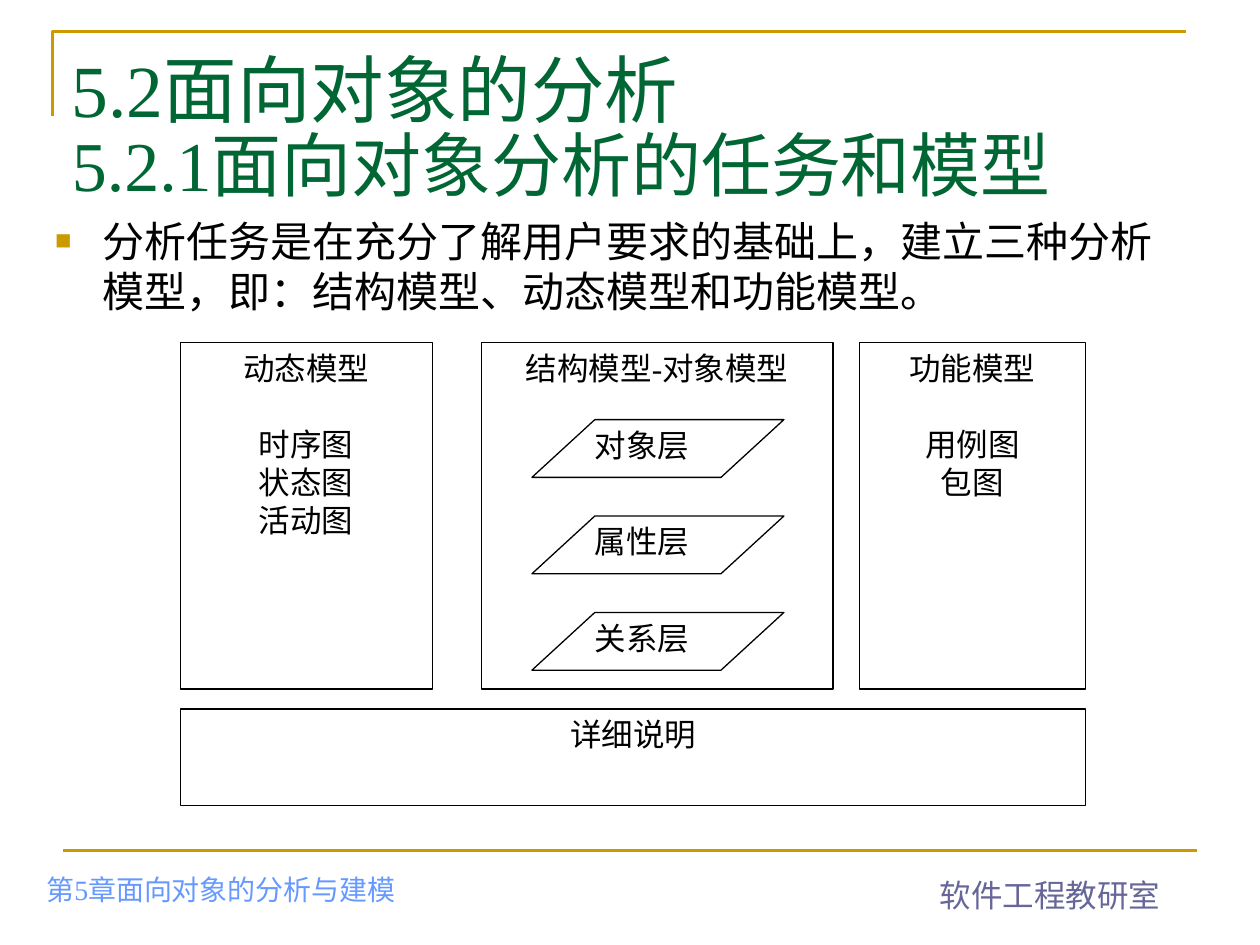
from lxml.etree import SubElement
from pptx import Presentation
from pptx.dml.color import RGBColor
from pptx.enum.shapes import MSO_CONNECTOR, MSO_SHAPE
from pptx.enum.text import MSO_ANCHOR, PP_ALIGN
from pptx.oxml.ns import qn
from pptx.util import Pt

HUES = {"gold": "CC9900", "green": "006633", "blue": "6699FF",
        "slate": "666699", "black": "000000", "white": "FFFFFF"}
ROMAN, SANS = "Times New Roman", "Arial"


def hue(name):
    return RGBColor.from_string(HUES[name])


def write(shape, lines, size=18, color="black", font=ROMAN, align=PP_ALIGN.LEFT,
          anchor=MSO_ANCHOR.TOP, wrap=True, gap=0, bullet=None):
    """Fill a shape with lines; gap is the space after the first one."""
    frame = shape.text_frame
    frame.word_wrap = wrap
    frame.vertical_anchor = anchor
    for i, line in enumerate(lines):
        par = frame.paragraphs[0] if i == 0 else frame.add_paragraph()
        par.alignment = align
        if i == 1:
            par.space_before = Pt(gap)
        if bullet:
            props = par._p.get_or_add_pPr()
            props.set("marL", str(Pt(27)))
            props.set("indent", str(Pt(-27)))
            tint = SubElement(props, qn("a:buClr"))
            SubElement(tint, qn("a:srgbClr"), val=HUES["gold"])
            SubElement(props, qn("a:buSzPct"), val="65000")
            SubElement(props, qn("a:buFont"), typeface=SANS)
            SubElement(props, qn("a:buChar"), char=bullet)
        # A line is a string or a list of (text, font) pairs
        for text, face in [(line, font)] if isinstance(line, str) else line:
            run = par.add_run()
            run.text = text
            run.font.size = Pt(size)
            run.font.name = face
            run.font.color.rgb = hue(color)


deck = Presentation()
deck.slide_width, deck.slide_height = Pt(720), Pt(540)
slide = deck.slides.add_slide(deck.slide_layouts[6])
shapes = slide.shapes

# Corner frame and footer rule
pen = shapes.build_freeform(Pt(30), Pt(66.5))
pen.add_line_segments([(Pt(30), Pt(18)), (Pt(678), Pt(18))], close=False)
frame = pen.convert_to_shape()
frame.shadow.inherit = False
frame.fill.background()
rule = shapes.add_connector(MSO_CONNECTOR.STRAIGHT, Pt(36), Pt(486), Pt(684), Pt(486))
SubElement(rule._element.spPr, qn("a:effectLst"))
for edge in (frame, rule):
    edge.line.color.rgb = hue("gold")
    edge.line.width = Pt(1.5)

# Titles, body and footers
texts = [
    ((34, 21.6, 648, 62.6), [[("5.2", ROMAN), ("面向对象的分析", SANS)]],
     dict(size=42, color="green")),
    ((34, 66.2, 648, 62.6), ["5.2.1面向对象分析的任务和模型"],
     dict(size=40, color="green")),
    ((24.5, 119.5, 648, 127.4),
     ["分析任务是在充分了解用户要求的基础上，建立三种分析模型，即：结构模型、动态模型和功能模型。"],
     dict(size=24, font=SANS, bullet="■")),
    ((19.4, 485.3, 226.8, 36), ["第5章面向对象的分析与建模"],
     dict(size=16, color="blue", anchor=MSO_ANCHOR.BOTTOM)),
    ((530, 496.8, 140.4, 28.8), ["软件工程教研室"],
     dict(color="slate", font=SANS, wrap=False)),
]
for area, lines, style in texts:
    write(shapes.add_textbox(*map(Pt, area)), lines, **style)

# Model boxes, detail bar and slanted layers
top, tall = 195.8, 198
layers = ["对象层", "属性层", "关系层"]
rows = [239.8 + 55.1 * i for i in range(len(layers))]
boxes = [
    (MSO_SHAPE.RECTANGLE, (103, top, 144, tall), ["动态模型", "时序图", "状态图", "活动图"]),
    (MSO_SHAPE.RECTANGLE, (275, top, 201, tall), ["结构模型-对象模型"]),
    (MSO_SHAPE.RECTANGLE, (491, top, 129.5, tall), ["功能模型", "用例图", "包图"]),
    (MSO_SHAPE.RECTANGLE, (103, 405.2, 517.5, 55), ["详细说明"]),
] + [(MSO_SHAPE.PARALLELOGRAM, (304, y, 144, 33), []) for y in rows]
for kind, area, lines in boxes:
    box = shapes.add_shape(kind, *map(Pt, area))
    box.shadow.inherit = False
    box.fill.solid()
    box.fill.fore_color.rgb = hue("white")
    box.line.color.rgb = hue("black")
    box.line.width = Pt(0.75)
    if kind == MSO_SHAPE.PARALLELOGRAM:
        box.adjustments[0] = 1.09
    write(box, lines, align=PP_ALIGN.CENTER, gap=22)

# Layer names
for y, name in zip(rows, layers):
    label = shapes.add_textbox(Pt(332.8), Pt(y), Pt(86.4), Pt(33))
    write(label, [name], align=PP_ALIGN.JUSTIFY)

deck.save("out.pptx")
